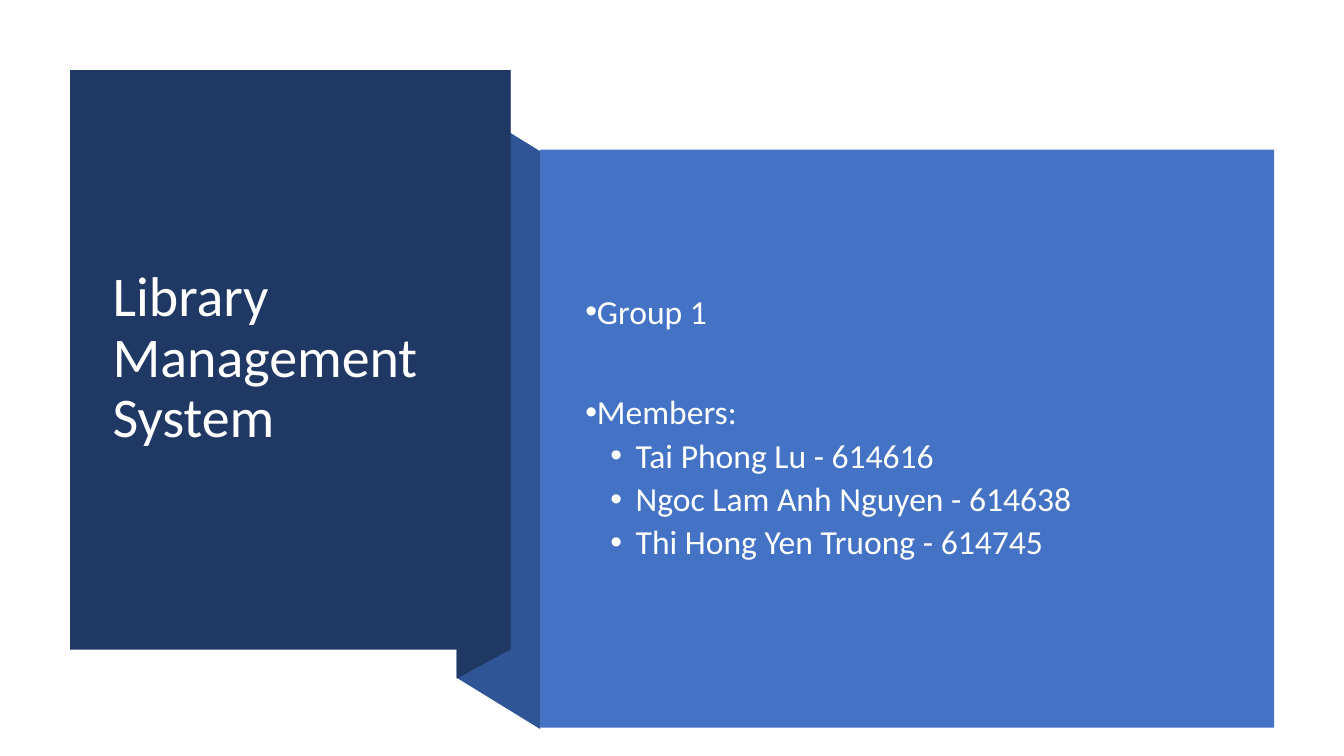
from pptx import Presentation
from pptx import util as u
from pptx.dml.color import RGBColor
from pptx.enum import shapes, text
from pptx.oxml.ns import qn
from lxml import etree

NAVY, DEEP, BLUE, WHITE = "203864", "2F5597", "4472C4", "FFFFFF"


def paint(shape, color):
    shape.shadow.inherit = False
    shape.fill.solid()
    shape.fill.fore_color.rgb = RGBColor.from_string(color)
    shape.line.fill.background()


def write(box, lines, size, color):
    """Add a middle-anchored text box; lines hold (text, space before)."""
    frame = slide.shapes.add_textbox(*map(u.Cm, box)).text_frame
    frame.word_wrap = True
    frame.vertical_anchor = text.MSO_ANCHOR.MIDDLE
    for i, (line, gap) in enumerate(lines):
        para = frame.paragraphs[0] if i == 0 else frame.add_paragraph()
        para.text = line
        para.line_spacing = 0.9
        para.space_before = u.Pt(gap)
        para.font.name = "Calibri"
        para.font.size = u.Pt(size)
        para.font.color.rgb = RGBColor.from_string(color)
    return frame.paragraphs


deck = Presentation()
deck.slide_width, deck.slide_height = u.Cm(33.87), u.Cm(19.05)
slide = deck.slides.add_slide(deck.slide_layouts[6])

# Ribbon folds between the two panels
folds = [
    (DEEP, [(13.61, 18.37), (11.51, 17.08), (11.51, 2.52), (13.61, 3.81)]),
    (NAVY, [(12.86, 16.37), (11.51, 17.1), (11.51, 2.5), (12.86, 1.76)]),
]
for color, points in folds:
    first, *rest = [(u.Cm(x), u.Cm(y)) for x, y in points]
    path = slide.shapes.build_freeform(*first)
    path.add_line_segments(rest, close=True)
    paint(path.convert_to_shape(), color)

# Title panel and member panel
panels = [(NAVY, (1.77, 1.77, 11.1, 14.6)), (BLUE, (13.61, 3.77, 18.5, 14.57))]
for color, box in panels:
    rect = slide.shapes.add_shape(shapes.MSO_SHAPE.RECTANGLE, *map(u.Cm, box))
    paint(rect, color)

# Title
write((2.59, 2.72, 9.42, 12.67), [("Library Management System", 0)], 40, WHITE)

# Group and members
lines = [
    ("Group 1", 10),
    ("Members:", 46),
    ("Tai Phong Lu - 614616", 5),
    ("Ngoc Lam Anh Nguyen - 614638", 5),
    ("Thi Hong Yen Truong - 614745", 5),
]
for i, para in enumerate(write((14.5, 4.78, 16.54, 12.04), lines, 24, "FEFFFF")):
    para.level = int(i > 1)
    props = para._p.get_or_add_pPr()
    props.set("marL", str(u.Cm(1.27 * para.level)))
    props.set("indent", str(u.Cm(-0.64)))
    font = etree.Element(qn("a:buFont"), typeface="Arial")
    mark = etree.Element(qn("a:buChar"), char="•")
    style = props.find(qn("a:defRPr"))
    style.addprevious(font)
    style.addprevious(mark)

deck.save("out.pptx")
